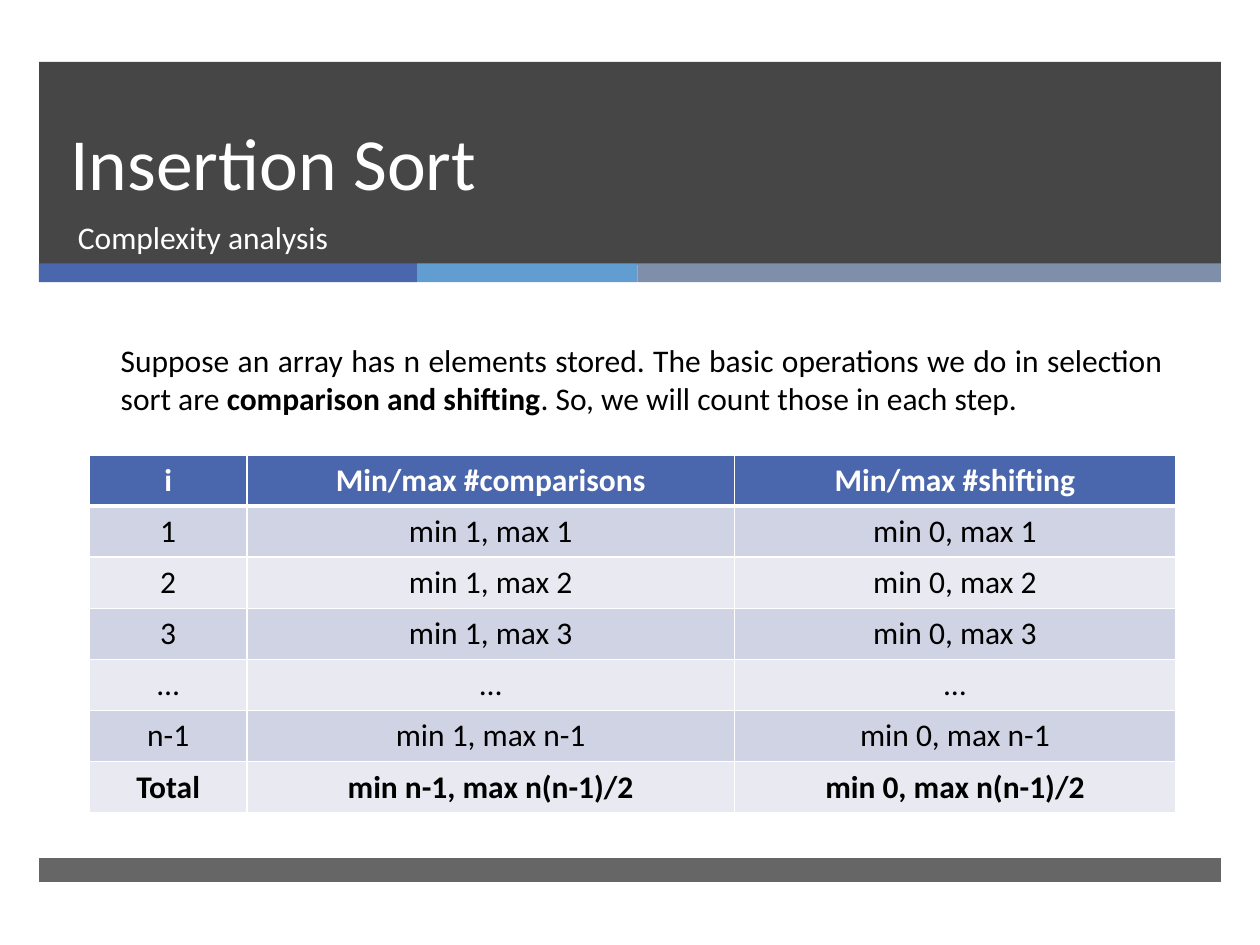
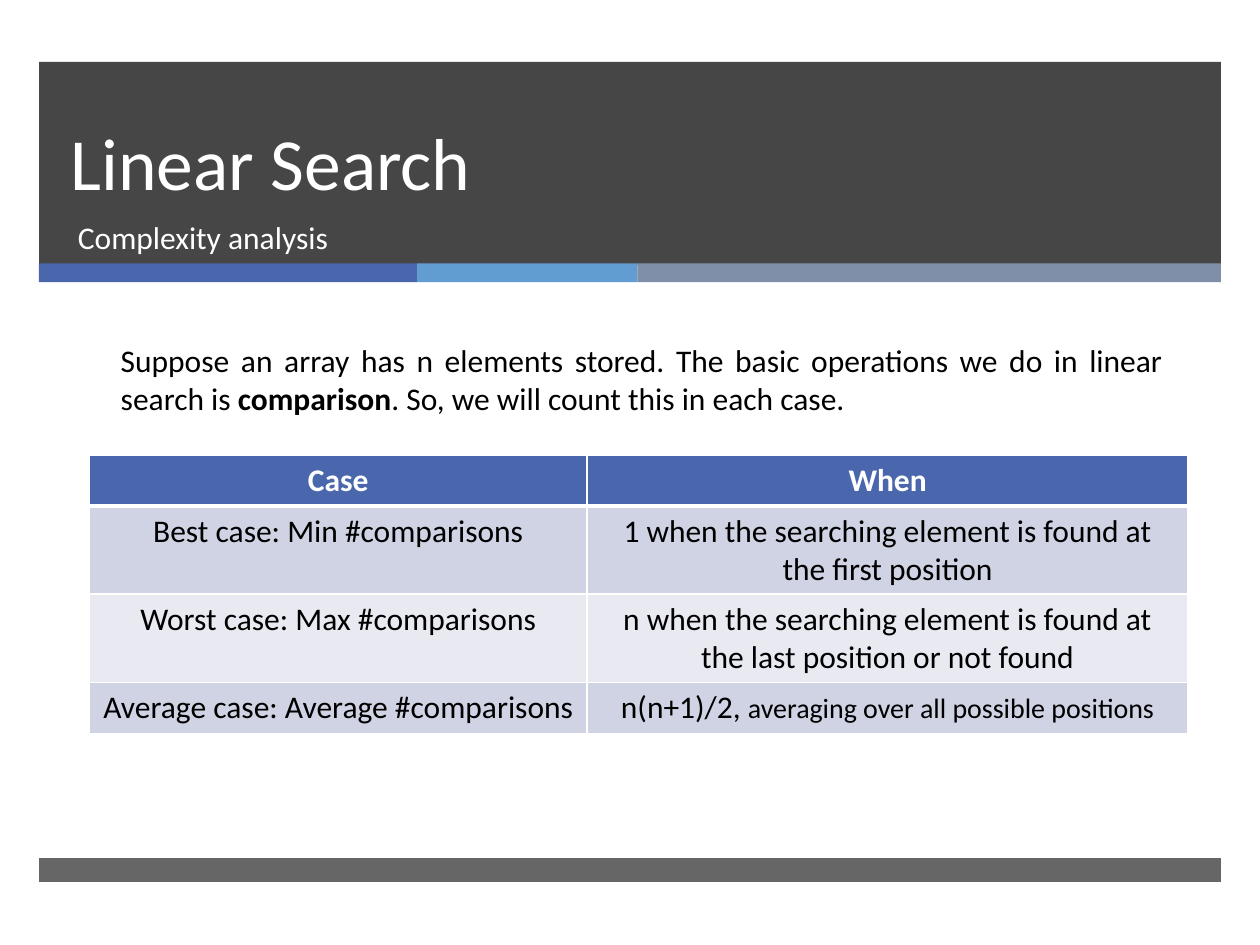
from dataclasses import dataclass
from itertools import accumulate

from lxml.etree import SubElement
from pptx import Presentation
from pptx.dml.color import RGBColor
from pptx.enum.shapes import MSO_SHAPE
from pptx.enum.text import MSO_ANCHOR, MSO_AUTO_SIZE, PP_ALIGN
from pptx.oxml.ns import qn
from pptx.util import Inches, Pt

COLUMNS, ROWS = 100, 75
CELL = Inches(0.1)


@dataclass(frozen=True)
class Theme:
    """Colours, font and type sizes in points."""
    font: str = "Calibri"
    white: str = "FFFFFF"
    black: str = "000000"
    charcoal: str = "262626"
    accents: tuple = ("4A66AC", "629DD1", "7F8FA9")
    stripes: tuple = ("D0D3E3", "E9EAF1")
    title: int = 42
    title_leading: int = 46
    body: int = 18
    small: int = 16
    rule: int = 1
    header_rule: int = 3


@dataclass(frozen=True)
class Box:
    """A rectangle measured in grid columns and rows."""
    left: float
    top: float
    width: float
    height: float

    def emu(self):
        """Return the rectangle in slide units."""
        return [round(n * CELL) for n in (self.left, self.top, self.width, self.height)]

    def within(self, left, top, width, height):
        """Return a box placed from this box's top left corner."""
        return Box(self.left + left, self.top + top, width, height)


THEME = Theme()
HEADER = Box(3.1, 4.9, 93.8, 17.5)
FOOTER = Box(3.1, 68.1, 93.8, 1.9)
CONTENT = Box(7.1, 26.6, 87.2, 38)
ACCENT_WIDTHS = (30, 17.5, 46.3)


def colour(code):
    """Return a colour from its hex code."""
    return RGBColor.from_string(code)


def write(frame, pieces, ink=THEME.black, size=THEME.body, bold=False, align=PP_ALIGN.LEFT):
    """Write one paragraph from plain text or (text, bold, size) pieces."""
    paragraph = frame.paragraphs[0]
    paragraph.alignment = align
    font = paragraph.font
    font.name, font.size, font.bold = THEME.font, Pt(size), bold
    font.color.rgb = colour(ink)
    if isinstance(pieces, str):
        pieces = [(pieces, None, None)]
    for text, piece_bold, piece_size in pieces:
        run = paragraph.add_run()
        run.text = text
        if piece_bold:
            run.font.bold = True
        if piece_size:
            run.font.size = Pt(piece_size)
    return paragraph


def add_text(slide, box, pieces, **style):
    """Add a wrapping text box."""
    frame = slide.shapes.add_textbox(*box.emu()).text_frame
    frame.word_wrap = True
    write(frame, pieces, **style)


def add_band(slide, box, fill, opacity=100):
    """Add a flat band and hand it to the slide's layout."""
    band = slide.shapes.add_shape(MSO_SHAPE.RECTANGLE, *box.emu())
    band.shadow.inherit = False
    band.line.fill.background()
    band.fill.solid()
    band.fill.fore_color.rgb = colour(fill)
    if opacity < 100:
        tint = band._element.spPr.find(".//" + qn("a:srgbClr"))
        SubElement(tint, qn("a:alpha"), val=str(opacity * 1000))
    tree = slide.slide_layout.shapes._spTree
    band._element.nvSpPr.cNvPr.set("id", str(100 + len(tree)))
    tree.append(band._element)


def add_shared_bands(slide, header, footer):
    """Draw the header panel, its accent strip and the footer band."""
    add_band(slide, header.within(0, 0, header.width, 16.1), THEME.charcoal, 85)
    offsets = accumulate(ACCENT_WIDTHS, initial=0)
    for offset, width, accent in zip(offsets, ACCENT_WIDTHS, THEME.accents):
        add_band(slide, header.within(offset, 16, width, 1.5), accent)
    add_band(slide, footer, THEME.charcoal, 70)


def fill_header(slide, header, title, subtitle):
    """Place the title and subtitle on the header panel."""
    heading = slide.shapes.title
    heading.left, heading.top, heading.width, heading.height = header.within(1.5, 0, 85.4, 11.9).emu()
    frame = heading.text_frame
    frame.auto_size = MSO_AUTO_SIZE.NONE
    frame.vertical_anchor = MSO_ANCHOR.BOTTOM
    paragraph = write(frame, title, THEME.white, THEME.title)
    paragraph.line_spacing = Pt(THEME.title_leading)
    add_text(slide, header.within(2.1, 11.9, 84.8, 5.3), subtitle, ink=THEME.white)


def add_borders(cell, top, bottom):
    """Rule a cell in white with the given top and bottom weights."""
    properties = cell._tc.get_or_add_tcPr()
    for side, weight in zip("LRTB", (THEME.rule, THEME.rule, top, bottom)):
        line = SubElement(properties, qn(f"a:ln{side}"), w=str(Pt(weight)))
        fill = SubElement(line, qn("a:solidFill"))
        SubElement(fill, qn("a:srgbClr"), val=THEME.white)


def add_grid(slide, box, widths, rows, total):
    """Add a table with a header row, striped rows and an optional total row."""
    table = slide.shapes.add_table(len(rows), len(widths), *box.emu()).table
    for column, width in zip(table.columns, widths):
        column.width = round(width * CELL)
    for r, row in enumerate(rows):
        header = r == 0
        fill = THEME.accents[0] if header else THEME.stripes[(r - 1) % 2]
        bold = header or (total and r == len(rows) - 1)
        top = THEME.header_rule if r == 1 else THEME.rule
        bottom = THEME.header_rule if header else THEME.rule
        for c, pieces in enumerate(row):
            cell = table.cell(r, c)
            add_borders(cell, top, bottom)
            cell.fill.solid()
            cell.fill.fore_color.rgb = colour(fill)
            ink = THEME.white if header else THEME.black
            write(cell.text_frame, pieces, ink, bold=bold, align=PP_ALIGN.CENTER)


def fill_content(slide, content, intro, widths, rows, total):
    """Place the introduction above its table."""
    add_text(slide, content.within(1.5, 0, 84.7, 37.4), intro, align=PP_ALIGN.JUSTIFY)
    grid = content.within(0, 9.5, sum(widths), 4.06 * len(rows))
    add_grid(slide, grid, widths, rows, total)


def introduce(before, operations, after):
    """Return an introduction with its operations in bold."""
    opening = "Suppose an array has n elements stored. The basic operations we do in "
    return [(opening + before, None, None), (operations, True, None), (after, None, None)]


def insertion_rows():
    """Return the step counts of insertion sort."""
    steps = [(i, f"min 1, max {i}", f"min 0, max {i}") for i in ("1", "2", "3", "n-1")]
    return [
        ("i", "Min/max #comparisons", "Min/max #shifting"),
        *steps[:3],
        ("…",) * 3,
        steps[3],
        ("Total", "min n-1, max n(n-1)/2", "min 0, max n(n-1)/2"),
    ]


SEARCH_ROWS = [
    ("Case", "When"),
    ("Best case: Min #comparisons",
     "1 when the searching element is found at the first position"),
    ("Worst case: Max #comparisons",
     "n when the searching element is found at the last position or not found"),
    ("Average case: Average #comparisons",
     [("n(n+1)/2, ", None, None),
      ("averaging over all possible positions", None, THEME.small)]),
]


def main():
    """Build and save the two complexity slides."""
    deck = Presentation()
    deck.slide_width, deck.slide_height = COLUMNS * CELL, ROWS * CELL
    topics = [
        ("Insertion Sort",
         introduce("selection sort are ", "comparison and shifting",
                   ". So, we will count those in each step."),
         (12.5, 38.7, 35), insertion_rows(), True),
        ("Linear Search",
         introduce("linear search is ", "comparison",
                   ". So, we will count this in each case."),
         (39.5, 47.7), SEARCH_ROWS, False),
    ]
    title_only = deck.slide_layouts[5]
    for number, (title, *content) in enumerate(topics):
        slide = deck.slides.add_slide(title_only)
        if number == 0:
            add_shared_bands(slide, HEADER, FOOTER)
        fill_header(slide, HEADER, title, "Complexity analysis")
        fill_content(slide, CONTENT, *content)
    deck.save("out.pptx")


if __name__ == "__main__":
    main()
